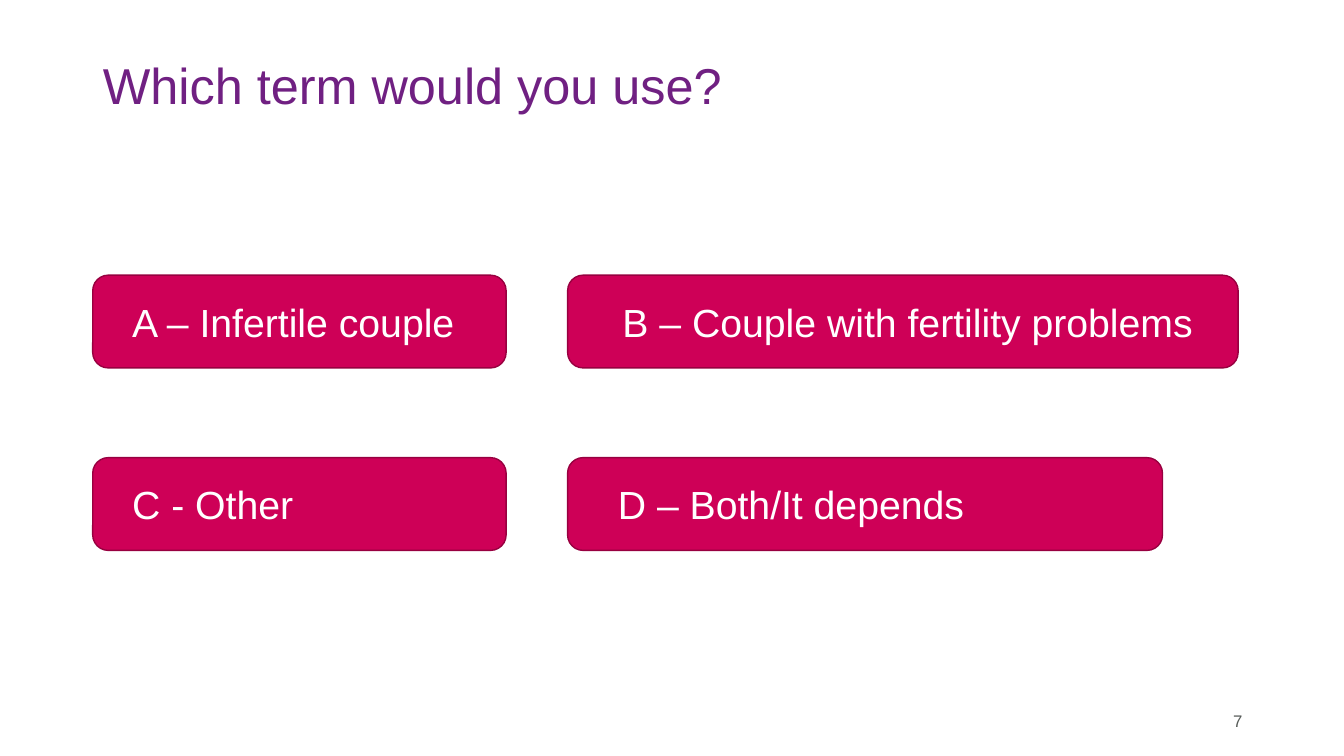
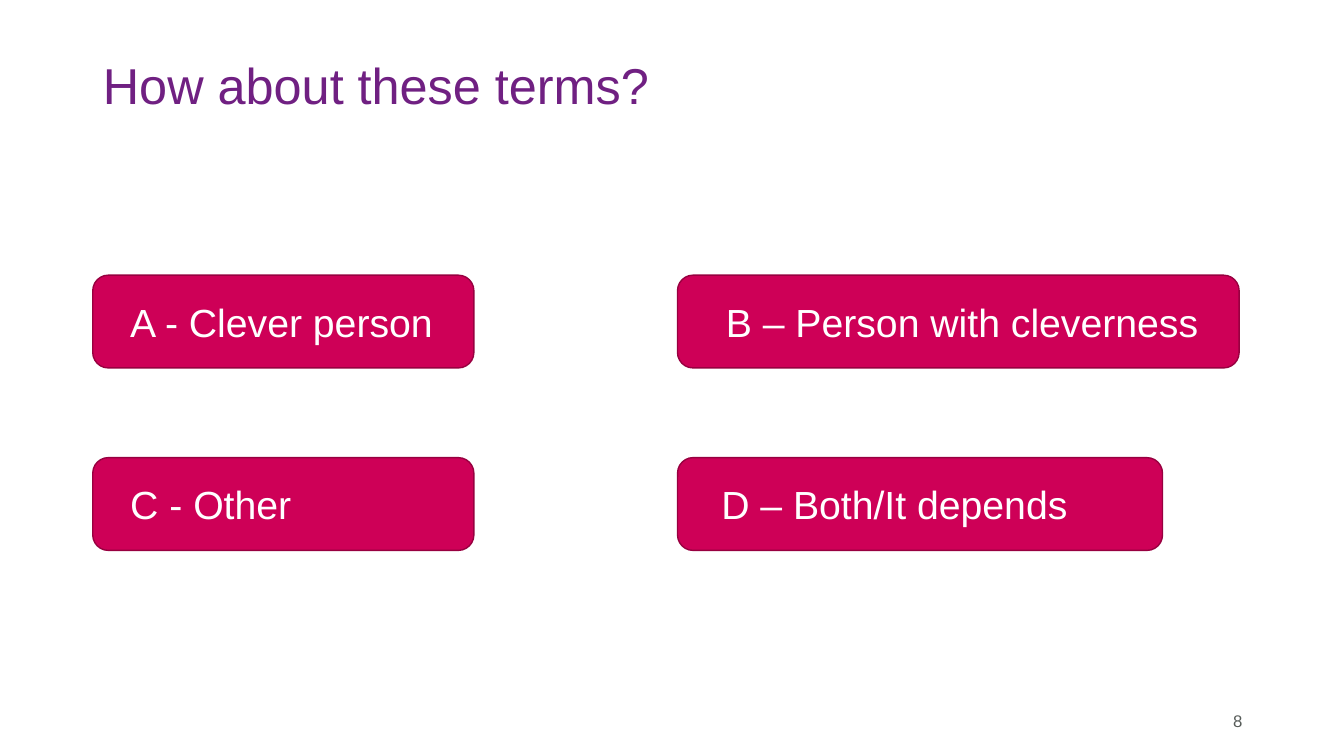
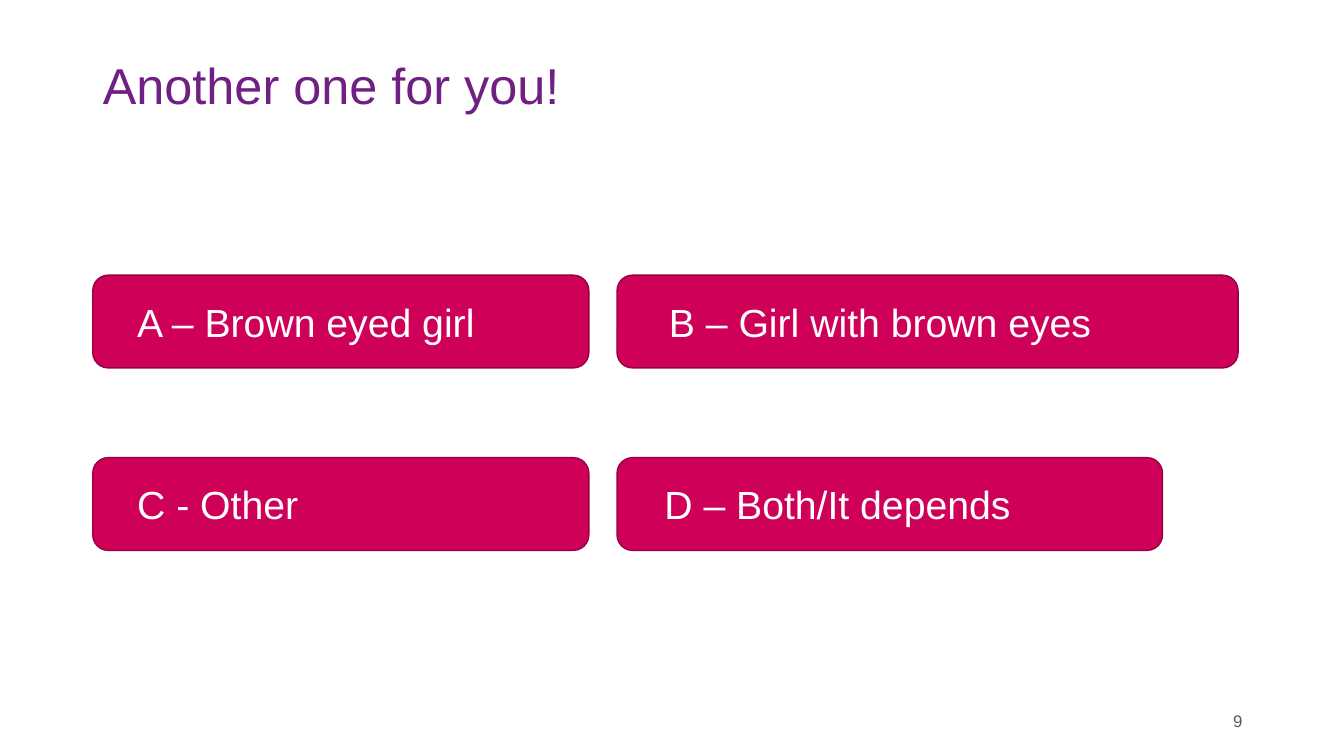
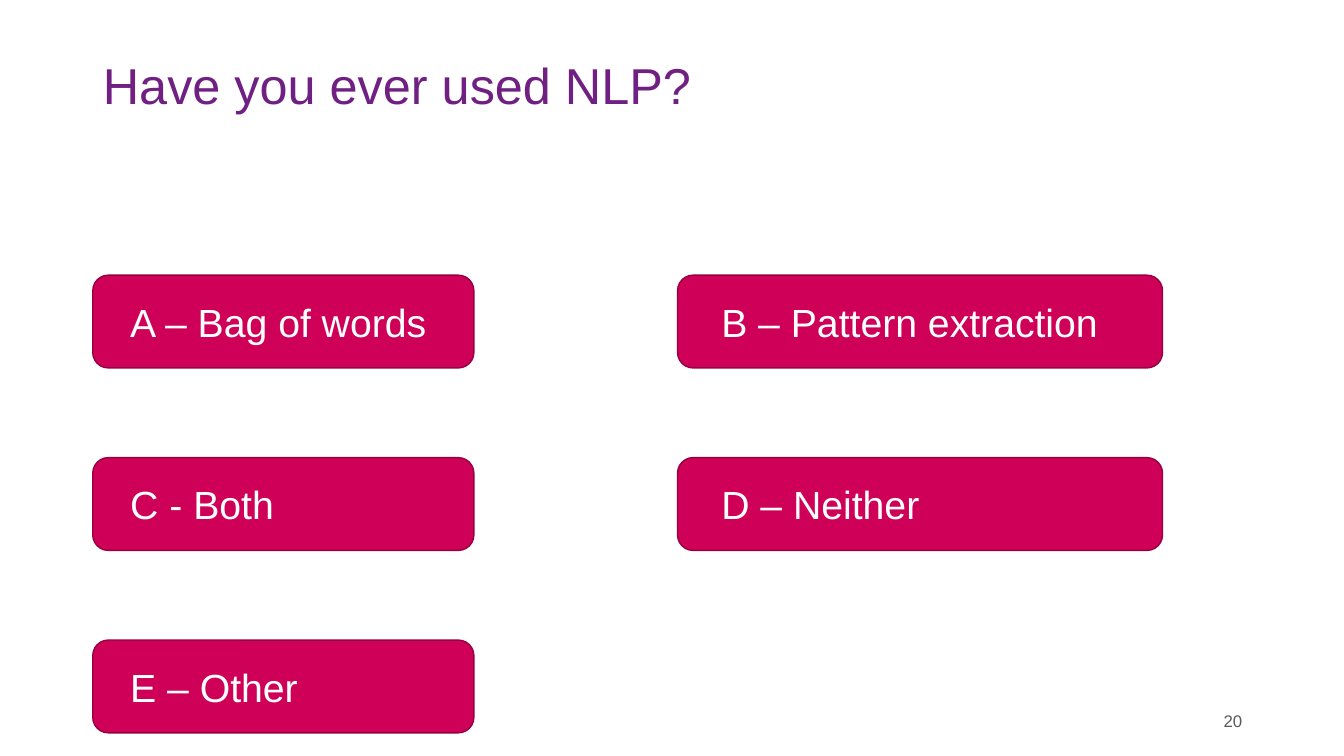
"""Build four quiz slides with answer buttons."""

from dataclasses import dataclass

from pptx import Presentation
from pptx.dml.color import RGBColor
from pptx.enum.shapes import MSO_SHAPE
from pptx.enum.text import MSO_ANCHOR, PP_ALIGN
from pptx.presentation import Presentation as Deck
from pptx.shapes.autoshape import Shape
from pptx.slide import Slide
from pptx.util import Inches, Pt

FONT = "Arial"
PURPLE = "702082"
PINK = "CE0057"
WINE = "980040"
GREY = "575C59"
WHITE = "FFFFFF"

LEFT = 0.92
TOP = 2.73
HIGH = 0.92
STEP = 1.81
INSET = 0.1
SHARE = 0.06


@dataclass(frozen=True)
class Answer:
    """One button: its text, row, left edge and width."""

    text: str
    row: int
    left: float
    width: float


@dataclass(frozen=True)
class Quiz:
    """One slide: its title, page number and answers."""

    title: str
    page: int
    answers: tuple[Answer, ...]


QUIZZES = (
    Quiz("Which term would you use?", 7, (
        Answer("A – Infertile couple", 0, LEFT, 4.1),
        Answer("C - Other", 1, LEFT, 4.1),
        Answer("D – Both/It depends", 1, 5.63, 5.9),
        Answer("B – Couple with fertility problems", 0, 5.63, 6.65),
    )),
    Quiz("How about these terms?", 8, (
        Answer("A - Clever person", 0, LEFT, 3.78),
        Answer("C - Other", 1, LEFT, 3.78),
        Answer("D – Both/It depends", 1, 6.72, 4.81),
        Answer("B – Person with cleverness", 0, 6.72, 5.57),
    )),
    Quiz("Another one for you!", 9, (
        Answer("A – Brown eyed girl", 0, LEFT, 4.92),
        Answer("C - Other", 1, LEFT, 4.92),
        Answer("D – Both/It depends", 1, 6.12, 5.41),
        Answer("B – Girl with brown eyes", 0, 6.12, 6.16),
    )),
    Quiz("Have you ever used NLP?", 20, (
        Answer("A – Bag of words", 0, LEFT, 3.78),
        Answer("C - Both", 1, LEFT, 3.78),
        Answer("D – Neither", 1, 6.72, 4.81),
        Answer("B – Pattern extraction", 0, 6.72, 4.81),
        Answer("E – Other", 2, LEFT, 3.78),
    )),
)


def paint(code: str) -> RGBColor:
    """Turn a hex string into a colour."""
    return RGBColor.from_string(code)


def write(shape: Shape, text: str, *, size: float, color: str,
          align: PP_ALIGN = PP_ALIGN.LEFT, inset: float = INSET,
          space: float = 1.0) -> None:
    """Put one formatted, vertically centred line of text in a shape."""
    frame = shape.text_frame
    frame.word_wrap = True
    frame.vertical_anchor = MSO_ANCHOR.MIDDLE
    frame.margin_left = Inches(inset)
    frame.margin_right = Inches(INSET)
    frame.text = text
    line = frame.paragraphs[0]
    line.alignment = align
    line.line_spacing = space
    line.font.name = FONT
    line.font.size = Pt(size)
    line.font.color.rgb = paint(color)


def head(slide: Slide, text: str) -> None:
    """Place and format the title."""
    title = slide.shapes.title
    title.left, title.top = Inches(LEFT), Inches(0.57)
    title.width, title.height = Inches(10.91), Inches(0.6)
    write(title, text, size=36, color=PURPLE, space=0.9)


def foot(slide: Slide, page: int) -> None:
    """Add the page number."""
    box = slide.shapes.add_textbox(
        Inches(9.42), Inches(6.95), Inches(3), Inches(0.4))
    write(box, str(page), size=12, color=GREY, align=PP_ALIGN.RIGHT)


def button(slide: Slide, item: Answer) -> None:
    """Draw one answer as a rounded button."""
    shape = slide.shapes.add_shape(
        MSO_SHAPE.ROUNDED_RECTANGLE, Inches(item.left),
        Inches(TOP + item.row * STEP), Inches(item.width), Inches(HIGH))
    shape.shadow.inherit = False
    shape.fill.solid()
    shape.fill.fore_color.rgb = paint(PINK)
    shape.line.color.rgb = paint(WINE)
    shape.line.width = Pt(1)
    write(shape, item.text, size=28, color=WHITE,
          inset=INSET + SHARE * item.width)


def build(deck: Deck, quiz: Quiz) -> None:
    """Add one quiz slide."""
    slide = deck.slides.add_slide(deck.slide_layouts.get_by_name("Title Only"))
    head(slide, quiz.title)
    foot(slide, quiz.page)
    for item in quiz.answers:
        button(slide, item)


def main() -> None:
    """Build and save the deck."""
    deck = Presentation()
    deck.slide_width, deck.slide_height = Inches(13.33), Inches(7.5)
    for quiz in QUIZZES:
        build(deck, quiz)
    deck.save("out.pptx")


if __name__ == "__main__":
    main()
